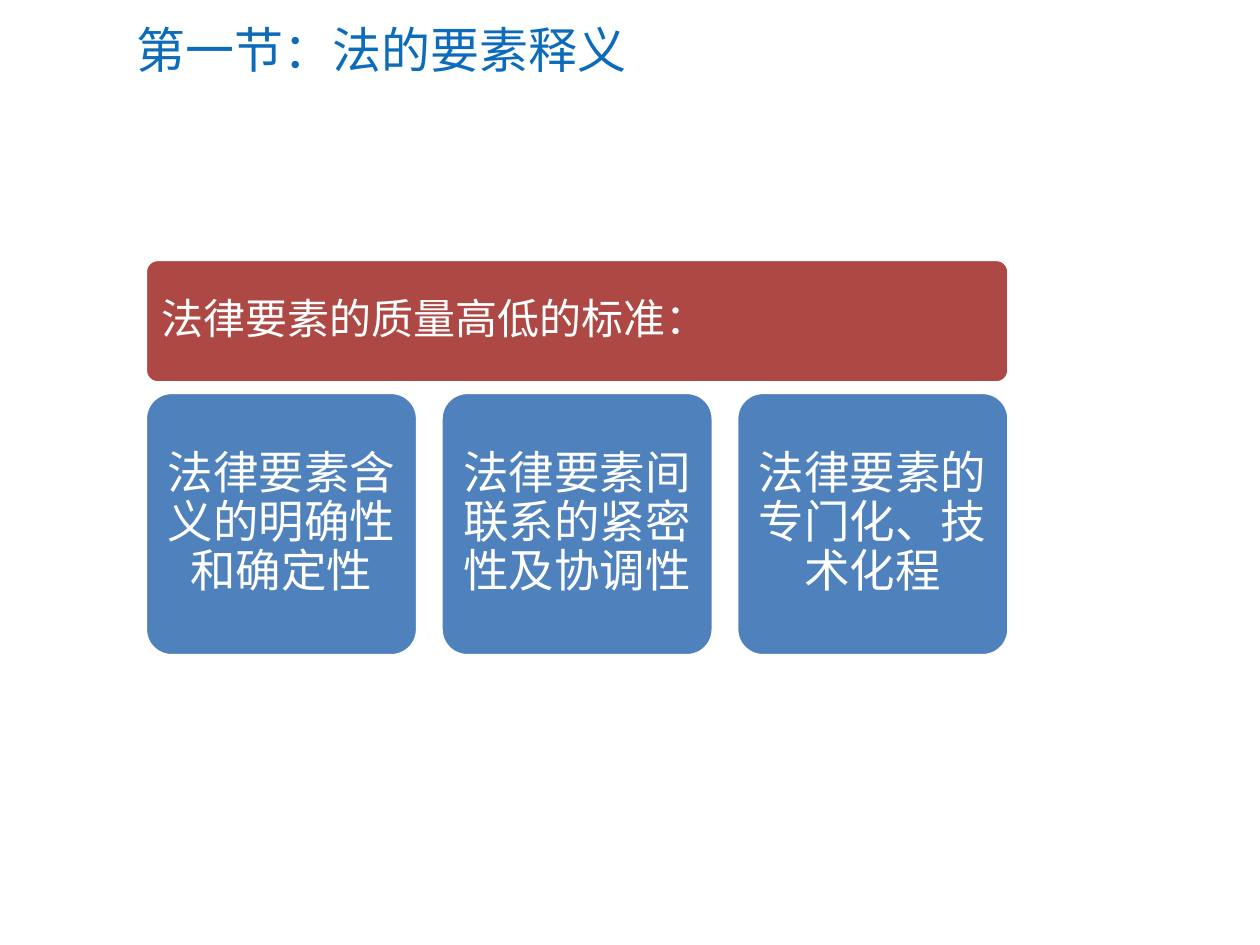
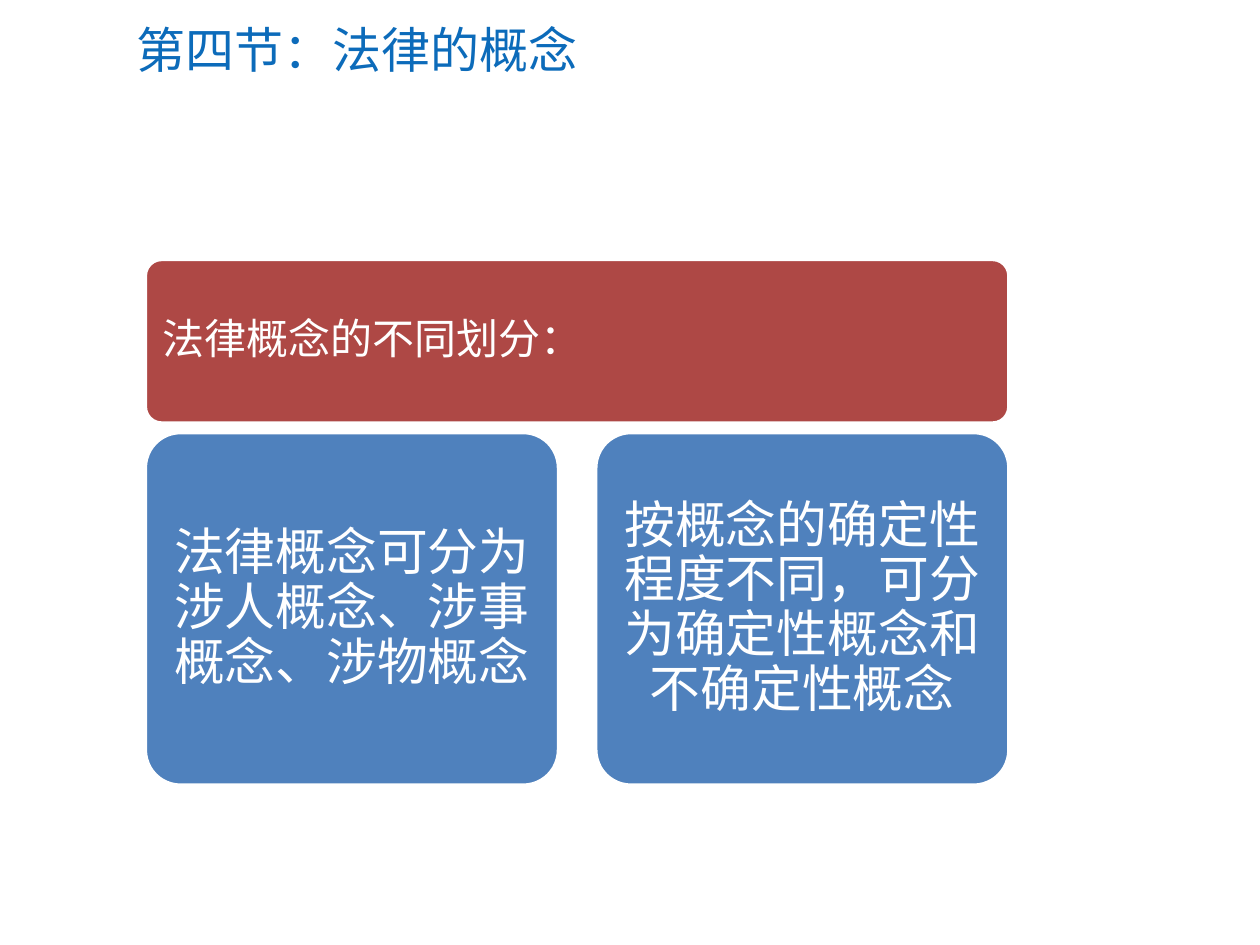
"""Build two slides on the elements of law: a banner above a row of cards."""
from dataclasses import dataclass

from pptx import Presentation
from pptx.dml.color import RGBColor
from pptx.enum import shapes, text
from pptx.util import Cm, Pt

BLUE = RGBColor(0x0C, 0x6B, 0xBA)
RED = RGBColor(0xAE, 0x48, 0x45)
CARD_BLUE = RGBColor(0x4F, 0x81, 0xBD)
WHITE = RGBColor(0xFF, 0xFF, 0xFF)

LEFT, WIDTH = 2.93, 17.41
BANNER_TOP, ROW_GAP = 5.23, 0.19
LEFT_ALIGN, CENTER = text.PP_ALIGN.LEFT, text.PP_ALIGN.CENTER


@dataclass
class Box:
    left: float
    top: float
    width: float
    height: float


@dataclass
class Style:
    size: int
    color: RGBColor = WHITE
    align: text.PP_ALIGN = CENTER
    spacing: float = 0.9
    inset: float = 0.25


@dataclass
class Section:
    title: str
    banner: str
    banner_height: float
    cards: list[str]
    card_width: float
    card_height: float
    card_style: Style


TITLE_BOX = Box(2.51, 0.25, 22.15, 1.47)
TITLE_STYLE = Style(28, BLUE, LEFT_ALIGN, 1.0)
BANNER_STYLE = Style(24, align=LEFT_ALIGN)

SECTIONS = [
    Section("第一节：法的要素释义", "法律要素的质量高低的标准：", 2.49,
            ["法律要素含义的明确性和确定性",
             "法律要素间联系的紧密性及协调性",
             "法律要素的专门化、技术化程"],
            5.49, 5.31, Style(26, inset=0.27)),
    Section("第四节：法律的概念", "法律概念的不同划分：", 3.3,
            ["法律概念可分为涉人概念、涉事概念、涉物概念",
             "按概念的确定性程度不同，可分为确定性概念和不确定性概念"],
            8.33, 7.11, Style(29, inset=0.3)),
]


def place(box: Box) -> tuple:
    """Return the position and size of a box as lengths."""
    return Cm(box.left), Cm(box.top), Cm(box.width), Cm(box.height)


def set_all(target, values: dict) -> None:
    """Set each attribute in values on target."""
    for name, value in values.items():
        setattr(target, name, value)


def write(sp, words: str, style: Style) -> None:
    """Put one styled paragraph in a shape."""
    tf = sp.text_frame
    inset = Cm(style.inset)
    set_all(tf, {"word_wrap": True, "vertical_anchor": text.MSO_ANCHOR.MIDDLE,
                 "margin_left": inset, "margin_right": inset,
                 "margin_top": inset, "margin_bottom": inset})
    p = tf.paragraphs[0]
    set_all(p, {"alignment": style.align, "line_spacing": style.spacing})
    r = p.add_run()
    r.text = words
    set_all(r.font, {"name": "Calibri", "size": Pt(style.size)})
    r.font.color.rgb = style.color


def add_panel(s, box: Box, fill: RGBColor, words: str, style: Style) -> None:
    """Add a rounded panel with a white outline and text."""
    sp = s.shapes.add_shape(shapes.MSO_SHAPE.ROUNDED_RECTANGLE, *place(box))
    sp.adjustments[0] = 0.1
    sp.shadow.inherit = False
    sp.fill.solid()
    sp.fill.fore_color.rgb = fill
    sp.line.color.rgb = WHITE
    sp.line.width = Pt(2)
    write(sp, words, style)


def add_section(prs, section: Section) -> None:
    """Add a slide with a title, a banner and evenly spaced cards."""
    s = prs.slides.add_slide(prs.slide_layouts[6])
    write(s.shapes.add_textbox(*place(TITLE_BOX)), section.title, TITLE_STYLE)
    add_panel(s, Box(LEFT, BANNER_TOP, WIDTH, section.banner_height),
              RED, section.banner, BANNER_STYLE)
    top = BANNER_TOP + section.banner_height + ROW_GAP
    step = (WIDTH - section.card_width) / (len(section.cards) - 1)
    for i, words in enumerate(section.cards):
        box = Box(LEFT + i * step, top, section.card_width, section.card_height)
        add_panel(s, box, CARD_BLUE, words, section.card_style)


def main() -> None:
    """Build and save the presentation."""
    prs = Presentation()
    set_all(prs, {"slide_width": Cm(25.4), "slide_height": Cm(19.05)})
    for section in SECTIONS:
        add_section(prs, section)
    prs.save("out.pptx")


if __name__ == "__main__":
    main()
